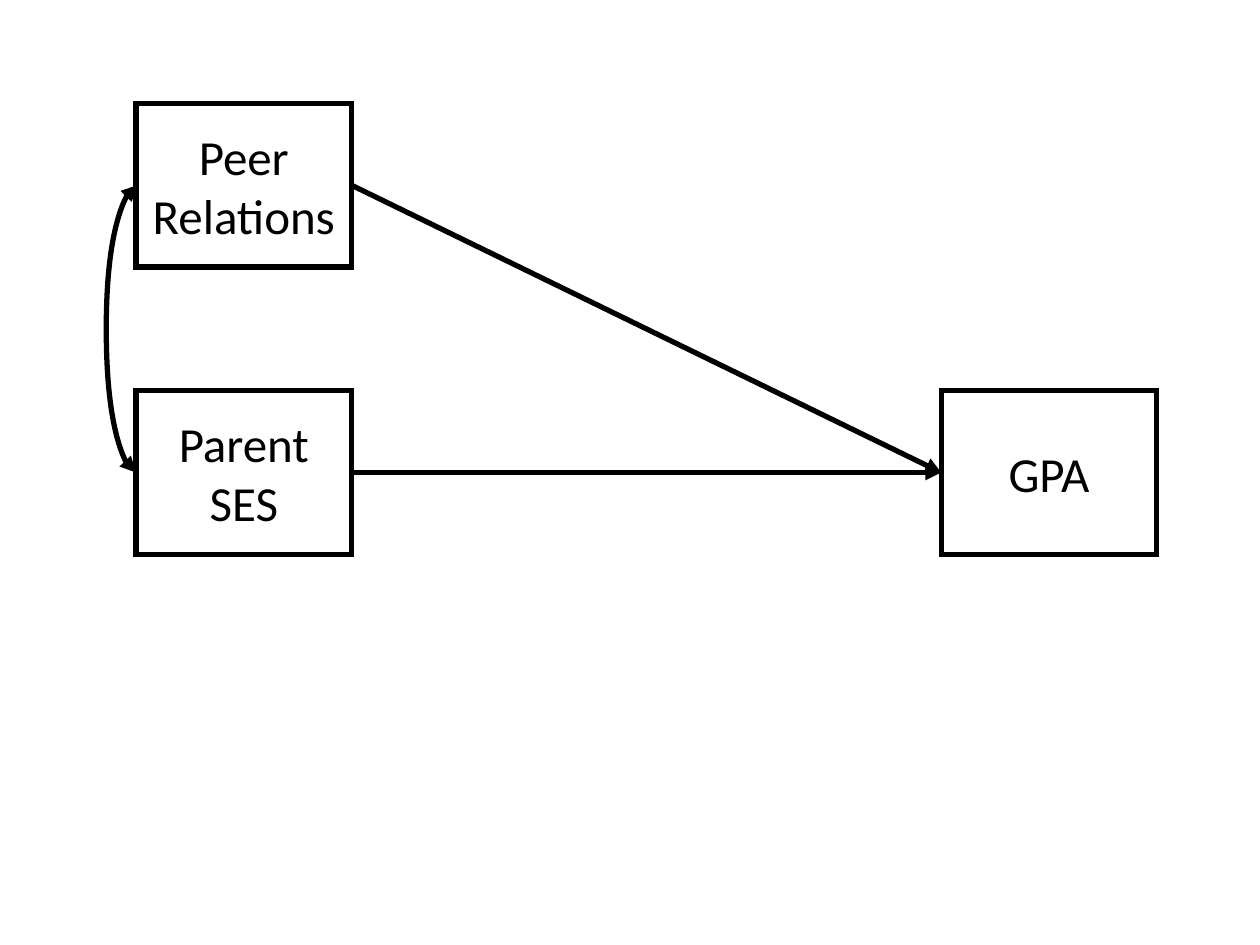
"""Build a path diagram: peer relations and parent SES predicting GPA."""
from lxml import etree
from pptx import Presentation
from pptx import util as u
from pptx.dml.color import RGBColor
from pptx.enum import shapes, text
from pptx.oxml.ns import qn

BLACK = RGBColor(0, 0, 0)
WHITE = RGBColor(255, 255, 255)
BOX_WIDTH, BOX_HEIGHT = 1.71, 1.3
LEFT_SITE, RIGHT_SITE = 1, 3
BULGE, CURVE_SPAN = 0.25, 0.01

VARIABLES = {
    "Parent SES": (1.08, 3.1),
    "GPA": (7.47, 3.1),
    "Peer Relations": (1.08, 0.82),
}
PATHS = [("Parent SES", "GPA"), ("Peer Relations", "GPA")]
CORRELATED = ("Peer Relations", "Parent SES")


def write_text(shape, content, size=28, font="Calibri", color=BLACK):
    frame = shape.text_frame
    frame.word_wrap = True
    frame.vertical_anchor = text.MSO_ANCHOR.MIDDLE
    paragraph = frame.paragraphs[0]
    paragraph.alignment = text.PP_ALIGN.CENTER
    run = paragraph.add_run()
    run.text = content
    run.font.size = u.Pt(size)
    run.font.name = font
    run.font.color.rgb = color


def set_outline(shape):
    shape.line.color.rgb = BLACK
    shape.line.width = u.Pt(3)
    return shape._element.spPr.find(qn("a:ln"))


def add_box(slide, name, left, top):
    box = slide.shapes.add_shape(
        shapes.MSO_SHAPE.RECTANGLE,
        *map(u.Inches, (left, top, BOX_WIDTH, BOX_HEIGHT)))
    box.shadow.inherit = False
    box.fill.solid()
    box.fill.fore_color.rgb = WHITE
    etree.SubElement(set_outline(box), qn("a:miter"), lim="800000")
    write_text(box, name)
    return box


def add_arrow(slide, kind, start, end, ends=("tailEnd",)):
    arrow = slide.shapes.add_connector(kind, *map(u.Inches, start + end))
    outline = set_outline(arrow)
    for tag in ends:
        etree.SubElement(outline, qn("a:" + tag), type="triangle")
    etree.SubElement(arrow._element.spPr, qn("a:effectLst"))
    return arrow


def side(name, offset):
    left, top = VARIABLES[name]
    return left + offset, top + BOX_HEIGHT / 2


presentation = Presentation()
presentation.slide_width = u.Inches(10)
presentation.slide_height = u.Inches(7.5)
slide = presentation.slides.add_slide(presentation.slide_layouts[6])

boxes = {name: add_box(slide, name, *corner) for name, corner in VARIABLES.items()}

for cause, effect in PATHS:
    arrow = add_arrow(slide, shapes.MSO_CONNECTOR.STRAIGHT,
                      side(cause, BOX_WIDTH), side(effect, 0))
    arrow.begin_connect(boxes[cause], RIGHT_SITE)
    arrow.end_connect(boxes[effect], LEFT_SITE)

upper, lower = CORRELATED
curve = add_arrow(slide, shapes.MSO_CONNECTOR.CURVE,
                  side(upper, CURVE_SPAN), side(lower, 0), ("headEnd", "tailEnd"))
geometry = curve._element.spPr.find(qn("a:prstGeom"))
adjustments = geometry.get_or_add_avLst()
etree.SubElement(adjustments, qn("a:gd"), name="adj1",
                 fmla=f"val {round(BULGE / CURVE_SPAN * 100000)}")

presentation.save("out.pptx")
